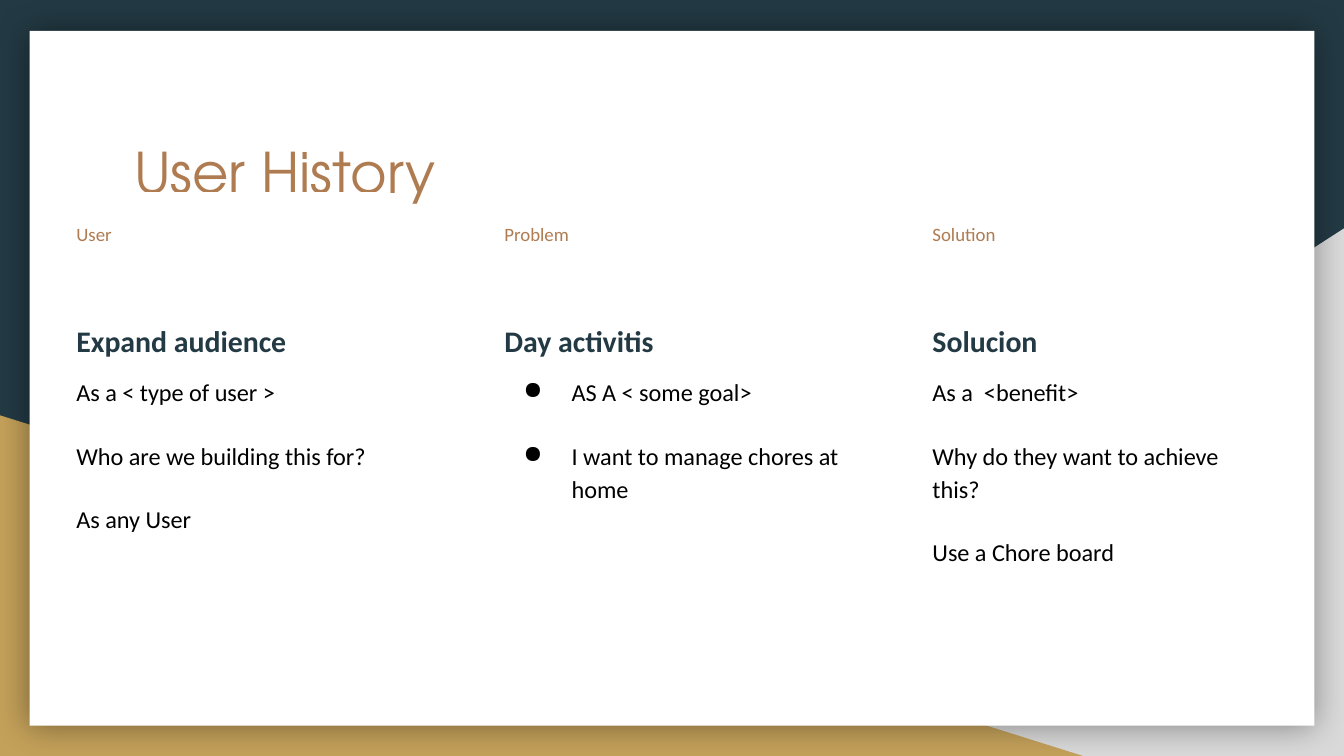
from lxml import etree
from pptx import Presentation
from pptx.dml.color import RGBColor
from pptx.enum.shapes import MSO_SHAPE
from pptx.enum.text import MSO_ANCHOR
from pptx.oxml import parse_xml
from pptx.oxml.ns import nsdecls, qn
from pptx.util import Inches, Pt

TRI, RECT = MSO_SHAPE.RIGHT_TRIANGLE, MSO_SHAPE.RECTANGLE
PLATE, CHEVRON = MSO_SHAPE.PENTAGON, MSO_SHAPE.CHEVRON
TOP, MIDDLE = MSO_ANCHOR.TOP, MSO_ANCHOR.MIDDLE
NAVY = RGBColor(0x23, 0x3A, 0x44)
GREY = RGBColor(0xD9, 0xD9, 0xD9)
GOLD = RGBColor(0xC4, 0xA1, 0x5A)
BROWN = RGBColor(0xAF, 0x7B, 0x51)
WHITE = RGBColor(0xFF, 0xFF, 0xFF)
BLACK = RGBColor(0, 0, 0)

TITLE = "User History"
COLUMNS = [
    ("User", "Expand audience", False,
     ["As a < type of user >", "Who are we building this for?", "As any User"]),
    ("Problem", "Day activitis", True,
     ["AS A < some goal>", "I want to manage chores at home"]),
    ("Solution", "Solucion", False,
     ["As a  <benefit>", "Why do they want to achieve this?", "Use a Chore board"]),
]

WIDE, HIGH = 10, 5.625
LEFT, PITCH, COL = 0.47, 3.185, 2.7
NOTCH = 0.32
TAG_Y, TAG_H = 1.43, 0.66
LABEL_W, LABEL_H = 2.47, 0.34
BODY_Y, BODY_H = 2.26, 2.9
INSET = 0.1

HEAD = {"name": "TeX Gyre Adventor", "size": Pt(30), "color": BROWN}
LABEL = {"name": "Calibri", "size": Pt(10.1), "color": BROWN}
LEAD = {"name": "Calibri", "size": Pt(16), "color": NAVY, "bold": True}
PLAIN = {"name": "Calibri", "size": Pt(13), "color": BLACK, "bold": False}

SHADOW = (f'<a:effectLst {nsdecls("a")}><a:outerShdw blurRad="{Pt(18)}" dist="0" '
          'dir="0" algn="ctr" rotWithShape="0"><a:srgbClr val="000000">'
          '<a:alpha val="40000"/></a:srgbClr></a:outerShdw></a:effectLst>')


def add_shape(kind, area, color):
    shape = slide.shapes.add_shape(kind, *map(Inches, area))
    shape.shadow.inherit = False
    shape.fill.solid()
    shape.fill.fore_color.rgb = color
    shape.line.fill.background()
    return shape


def add_bullet(para):
    props = para._p.get_or_add_pPr()
    props.set("marL", str(Inches(0.5)))
    props.set("indent", str(Inches(-0.36)))
    tint = etree.SubElement(props, qn("a:buClr"))
    etree.SubElement(tint, qn("a:srgbClr")).set("val", str(BLACK))
    etree.SubElement(props, qn("a:buChar")).set("char", "●")


def add_text(area, lines, anchor=TOP, space=1.0):
    frame = slide.shapes.add_textbox(*map(Inches, area)).text_frame
    frame.word_wrap = True
    frame.vertical_anchor = anchor
    for side in ("left", "top", "right", "bottom"):
        setattr(frame, f"margin_{side}", Inches(INSET))
    for i, (text, style, before, dot) in enumerate(lines):
        para = frame.paragraphs[0] if i == 0 else frame.add_paragraph()
        if dot:
            add_bullet(para)
        para.line_spacing = space
        para.space_before = Pt(before)
        run = para.add_run()
        run.text = text
        for key, value in style.items():
            if key == "color":
                run.font.color.rgb = value
            else:
                setattr(run.font, key, value)


deck = Presentation()
deck.slide_width, deck.slide_height = Inches(WIDE), Inches(HIGH)
slide = deck.slides.add_slide(deck.slide_layouts[6])
slide.background.fill.solid()
slide.background.fill.fore_color.rgb = NAVY

corner = add_shape(TRI, (3.92, 1.7, WIDE - 3.92, HIGH - 1.7), GREY)
corner._element.spPr.find(qn("a:xfrm")).set("flipH", "1")
add_shape(TRI, (0, 3.09, 8.06, HIGH - 3.09), GOLD)
card = add_shape(RECT, (0.22, 0.23, WIDE - 0.44, HIGH - 0.455), WHITE)
props = card._element.spPr
props.replace(props.find(qn("a:effectLst")), parse_xml(SHADOW))

add_text((0.9, 0.92, 8.21, 1.04), [(TITLE, HEAD, 0, False)])
for col, (label, lead, dots, items) in enumerate(COLUMNS):
    x = LEFT + col * PITCH
    kind, notch = (CHEVRON, NOTCH) if col else (PLATE, 0)
    add_shape(kind, (x - notch, TAG_Y, COL + notch, TAG_H), WHITE)
    y = TAG_Y + (TAG_H - LABEL_H) / 2
    add_text((x, y, LABEL_W, LABEL_H), [(label, LABEL, 0, False)], MIDDLE, 0.8)
    lines = [(lead, LEAD, 0, False)]
    lines += [(item, PLAIN, 16 if i else 8, dots) for i, item in enumerate(items)]
    add_text((x, BODY_Y, COL, BODY_H), lines, space=1.15)

deck.save("out.pptx")
